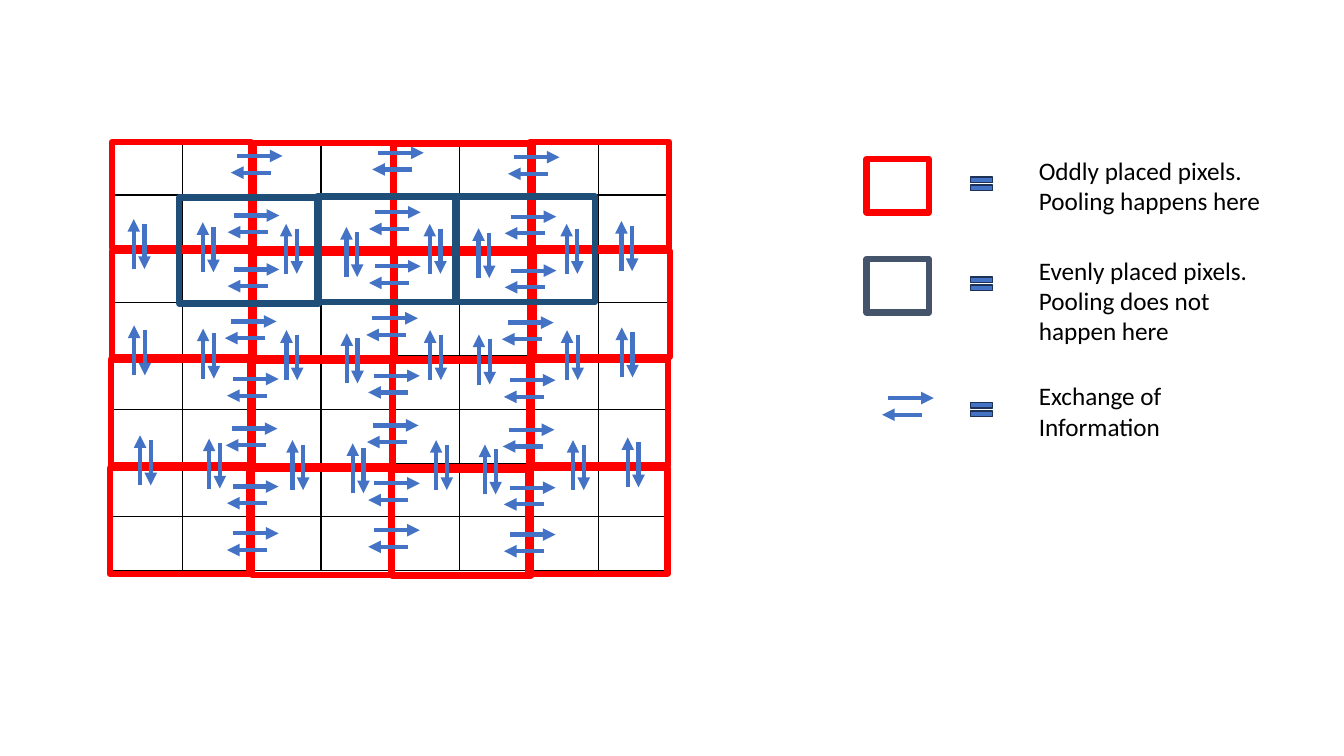
from itertools import product

from lxml.etree import SubElement
from pptx import Presentation
from pptx.dml.color import RGBColor
from pptx.enum.shapes import MSO_CONNECTOR, MSO_SHAPE
from pptx.enum.text import MSO_AUTO_SIZE
from pptx.oxml.ns import qn
from pptx.util import Cm, Pt

RED = RGBColor(0xFF, 0x00, 0x00)
NAVY = RGBColor(0x1F, 0x4E, 0x79)
SLATE = RGBColor(0x44, 0x54, 0x6A)
BLUE = RGBColor(0x44, 0x72, 0xC4)
DARK_BLUE = RGBColor(0x1E, 0x32, 0x56)
BLACK = RGBColor(0x00, 0x00, 0x00)

GRID_SIZE = 8
BLOCK_SIZE = (3.51, 2.67)
SWATCH_SIZE = (1.57, 1.35)

ODD_COLUMNS = [(2.82, 0), (6.4, 0.03), (9.93, 0.04), (13.36, 0)]
ODD_ROWS = [(3.58, 0), (6.33, 0.01), (9.06, -0.03), (11.79, -0.05)]
EVEN_BLOCKS = [(4.52, 4.98), (8, 4.95), (11.48, 4.95)]

SIDEWAYS_COLUMNS = [(5.97, 0), (9.53, -0.08), (12.95, 0.03)]
SIDEWAYS_ROWS = [(3.93, 0), (5.43, -0.08), (6.79, -0.08), (8.1, -0.15),
                 (9.55, -0.1), (10.8, -0.13), (12.26, -0.1), (13.44, -0.1)]
UPRIGHT_COLUMNS = [(3.37, 6.78), (5.11, 6.86), (7.21, 6.9), (8.73, 6.98),
                   (10.83, 6.9), (12.06, 7.01), (14.28, 6.9), (15.66, 6.83)]
UPRIGHT_ROWS = [(0, 0), (2.68, 0.01), (5.45, 0.16)]

LEGEND = [
    (3.78, 1.8, RED, "Oddly placed pixels. Pooling happens here"),
    (6.3, 2.57, SLATE, "Evenly placed pixels. Pooling does not happen here"),
    (9.47, 1.8, None, "Exchange of Information"),
]


def add_border(cell):
    properties = cell._tc.get_or_add_tcPr()
    for position, side in enumerate(("a:lnL", "a:lnR", "a:lnT", "a:lnB")):
        border = SubElement(properties, qn(side), w=str(Pt(1)))
        color = SubElement(SubElement(border, qn("a:solidFill")), qn("a:srgbClr"))
        color.set("val", str(BLACK))
        properties.insert(position, border)


def add_pixel_grid(slide):
    grid = slide.shapes.add_table(
        GRID_SIZE, GRID_SIZE, Cm(2.84), Cm(3.56), Cm(14), Cm(10.82)).table
    grid.first_row = False
    grid.horz_banding = False
    for cell in grid.iter_cells():
        cell.fill.background()
        add_border(cell)


def add_frame(slide, left, top, size, color):
    width, height = size
    frame = slide.shapes.add_shape(
        MSO_SHAPE.RECTANGLE, Cm(left), Cm(top), Cm(width), Cm(height))
    frame.shadow.inherit = False
    frame.fill.background()
    frame.line.color.rgb = color
    frame.line.width = Pt(4.5)


def add_arrow(slide, x1, y1, x2, y2):
    arrow = slide.shapes.add_connector(
        MSO_CONNECTOR.STRAIGHT, Cm(x1), Cm(y1), Cm(x2), Cm(y2))
    arrow.line.color.rgb = BLUE
    arrow.line.width = Pt(3)
    properties = arrow._element.spPr
    SubElement(properties.find(qn("a:ln")), qn("a:tailEnd"), type="triangle")
    SubElement(properties, qn("a:effectLst"))


def add_sideways_exchange(slide, x, y):
    add_arrow(slide, x, y, x + 1.15, y)
    add_arrow(slide, x + 0.86, y + 0.42, x - 0.15, y + 0.42)


def add_upright_exchange(slide, x, bottom):
    add_arrow(slide, x, bottom, x, bottom - 1.26)
    add_arrow(slide, x + 0.27, bottom - 1.14, x + 0.27, bottom)


def add_equals_sign(slide, left, top):
    equals = slide.shapes.add_shape(
        MSO_SHAPE.MATH_EQUAL, Cm(left), Cm(top), Cm(0.76), Cm(0.58))
    equals.shadow.inherit = False
    equals.fill.solid()
    equals.fill.fore_color.rgb = BLUE
    equals.line.color.rgb = DARK_BLUE
    equals.line.width = Pt(1)


def add_meaning(slide, top, height, text):
    meaning = slide.shapes.add_textbox(Cm(25.93), Cm(top), Cm(6.32), Cm(height))
    frame = meaning.text_frame
    frame.word_wrap = True
    frame.auto_size = MSO_AUTO_SIZE.SHAPE_TO_FIT_TEXT
    frame.text = text
    font = frame.paragraphs[0].runs[0].font
    font.name = "Calibri"
    font.size = Pt(18)
    font.color.rgb = BLACK


def add_legend_entry(slide, top, height, swatch_color, text):
    if swatch_color is None:
        add_sideways_exchange(slide, 22.38, top + 0.56)
    else:
        add_frame(slide, 21.84, top + 0.23, SWATCH_SIZE, swatch_color)
    add_equals_sign(slide, 24.36, top + 0.56)
    add_meaning(slide, top, height, text)


def main():
    presentation = Presentation()
    presentation.slide_width = Cm(33.87)
    presentation.slide_height = Cm(19.05)
    slide = presentation.slides.add_slide(presentation.slide_layouts[6])

    add_pixel_grid(slide)
    for (top, shift), (left, drop) in product(ODD_ROWS, ODD_COLUMNS):
        add_frame(slide, left + shift, top + drop, BLOCK_SIZE, RED)
    for left, top in EVEN_BLOCKS:
        add_frame(slide, left, top, BLOCK_SIZE, NAVY)
    for (x, drop), (y, shift) in product(SIDEWAYS_COLUMNS, SIDEWAYS_ROWS):
        add_sideways_exchange(slide, x + shift, y + drop)
    for (drop, shift), (x, bottom) in product(UPRIGHT_ROWS, UPRIGHT_COLUMNS):
        add_upright_exchange(slide, x + shift, bottom + drop)
    for entry in LEGEND:
        add_legend_entry(slide, *entry)

    presentation.save("out.pptx")


if __name__ == "__main__":
    main()
